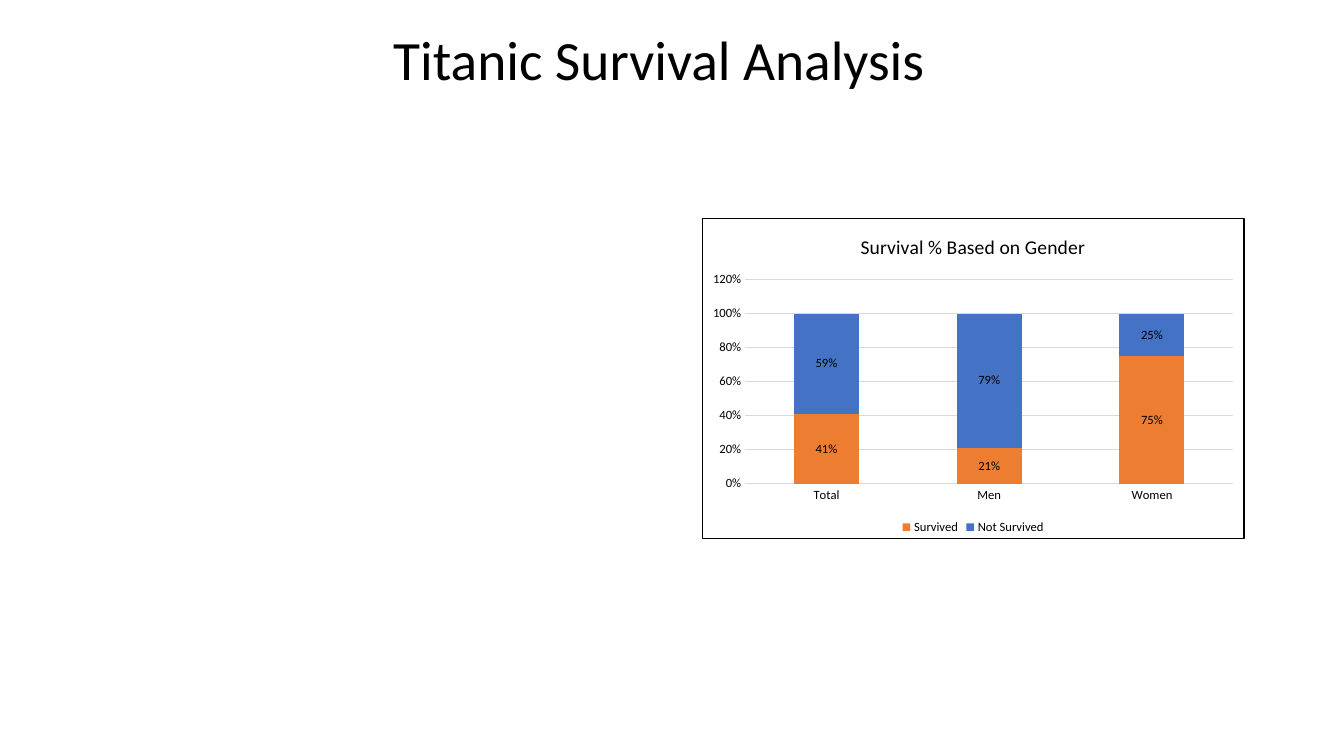
from dataclasses import dataclass

from lxml import etree
from pptx import Presentation
from pptx import util as u
from pptx.chart import data as chart_data
from pptx.dml.color import RGBColor
from pptx.enum import chart as ec
from pptx.enum import text as et

FONT = "Calibri"
BLACK = "000000"
GRID = "D9D9D9"
NAMESPACES = (
    'xmlns:c="http://schemas.openxmlformats.org/drawingml/2006/chart" '
    'xmlns:a="http://schemas.openxmlformats.org/drawingml/2006/main"'
)


@dataclass
class Outcome:
    name: str
    shares: tuple[float, ...]
    color: str


GROUPS = ("Total", "Men", "Women")
OUTCOMES = (
    Outcome("Survived", (0.41, 0.21, 0.75), "ED7D31"),
    Outcome("Not Survived", (0.59, 0.79, 0.25), "4472C4"),
)


def rgb(value: str) -> RGBColor:
    return RGBColor.from_string(value)


def style_font(font, size: float) -> None:
    font.name = FONT
    font.size = u.Pt(size)
    font.bold = False
    font.color.rgb = rgb(BLACK)


def style_line(line) -> None:
    line.color.rgb = rgb(GRID)
    line.width = u.Pt(0.75)


def frame_chart(chart, fill: str, border: str, width: float) -> None:
    properties = etree.fromstring(
        f'<c:spPr {NAMESPACES}><a:solidFill><a:srgbClr val="{fill}"/></a:solidFill>'
        f'<a:ln w="{u.Pt(width)}"><a:solidFill><a:srgbClr val="{border}"/></a:solidFill></a:ln></c:spPr>'
    )
    chart.element.chart.addnext(properties)


def add_title(page, wording: str) -> None:
    title = page.shapes.title
    title.left, title.top = u.Pt(273.6), u.Pt(17.28)
    title.width, title.height = u.Pt(413.28), u.Pt(54.72)
    frame = title.text_frame
    frame.text = wording
    frame.word_wrap = True
    frame.auto_size = et.MSO_AUTO_SIZE.NONE
    frame.vertical_anchor = et.MSO_ANCHOR.MIDDLE
    para = frame.paragraphs[0]
    para.alignment = et.PP_ALIGN.LEFT
    para.line_spacing = 0.9
    style_font(para.runs[0].font, 39.6)


def add_survival_chart(page, groups: tuple[str, ...], outcomes: tuple[Outcome, ...]) -> None:
    survival = chart_data.CategoryChartData(number_format="0%")
    survival.categories = groups
    for outcome in outcomes:
        survival.add_series(outcome.name, outcome.shares)
    chart = page.shapes.add_chart(
        ec.XL_CHART_TYPE.COLUMN_STACKED,
        u.Pt(501.12), u.Pt(155.52), u.Pt(388.08), u.Pt(229.68), survival,
    ).chart
    style_font(chart.font, 10)
    frame_chart(chart, "FFFFFF", BLACK, 1)

    chart.has_title = True
    heading = chart.chart_title.text_frame
    heading.text = "Survival % Based on Gender"
    style_font(heading.paragraphs[0].runs[0].font, 14)
    chart.chart_title.include_in_layout = False

    chart.has_legend = True
    chart.legend.position = ec.XL_LEGEND_POSITION.BOTTOM
    chart.legend.include_in_layout = False
    style_font(chart.legend.font, 9)

    for axis in (chart.category_axis, chart.value_axis):
        axis.major_tick_mark = axis.minor_tick_mark = ec.XL_TICK_MARK.NONE
        style_font(axis.tick_labels.font, 9)
    style_line(chart.category_axis.format.line)
    shares = chart.value_axis
    shares.minimum_scale, shares.maximum_scale, shares.major_unit = 0, 1.2, 0.2
    shares.tick_labels.number_format = "0%"
    shares.tick_labels.number_format_is_linked = False
    shares.format.line.fill.background()
    shares.has_major_gridlines = True
    style_line(shares.major_gridlines.format.line)

    plot = chart.plots[0]
    plot.gap_width, plot.overlap = 150, 100
    plot.vary_by_categories = False
    for series, outcome in zip(plot.series, outcomes):
        series.format.fill.solid()
        series.format.fill.fore_color.rgb = rgb(outcome.color)
        labels = series.data_labels
        labels.show_value = True
        labels.position = ec.XL_LABEL_POSITION.CENTER
        labels.number_format = "0%"
        labels.number_format_is_linked = False
        style_font(labels.font, 9)


def main() -> None:
    deck = Presentation()
    deck.slide_width, deck.slide_height = u.Pt(960), u.Pt(540)
    page = deck.slides.add_slide(deck.slide_layouts[5])
    add_title(page, "Titanic Survival Analysis")
    add_survival_chart(page, GROUPS, OUTCOMES)
    deck.save("out.pptx")


if __name__ == "__main__":
    main()
